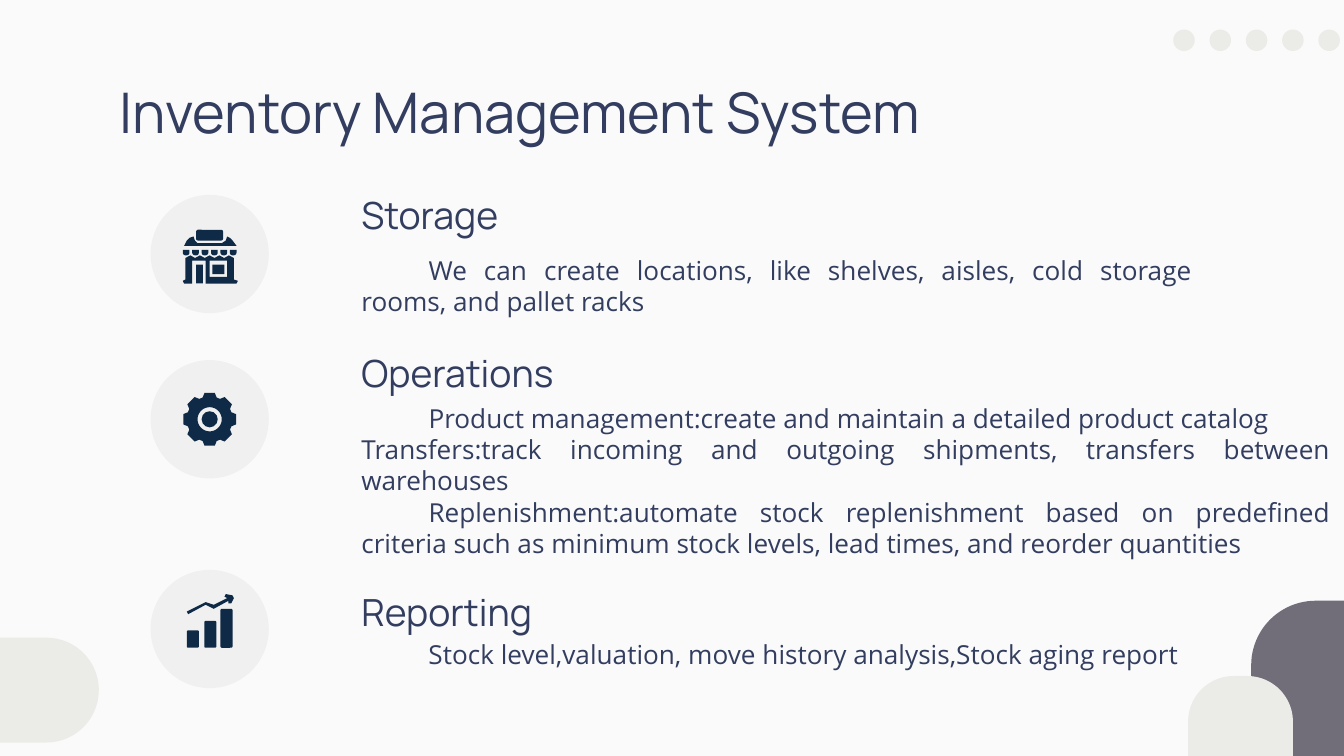
"""Build the inventory management system slide."""
from math import cos, radians, sin

from pptx import Presentation
from pptx.dml.color import RGBColor
from pptx.enum.shapes import MSO_SHAPE
from pptx.enum.text import MSO_ANCHOR, PP_ALIGN
from pptx.util import Inches, Pt

OVAL = MSO_SHAPE.OVAL
RECT = MSO_SHAPE.RECTANGLE
ROUNDED = MSO_SHAPE.ROUNDED_RECTANGLE
ROUND_TOP = MSO_SHAPE.ROUND_2_SAME_RECTANGLE
ROUND_DIAGONAL = MSO_SHAPE.ROUND_2_DIAG_RECTANGLE
TOP, BOTTOM = MSO_ANCHOR.TOP, MSO_ANCHOR.BOTTOM
LEFT, JUSTIFY = PP_ALIGN.LEFT, PP_ALIGN.JUSTIFY

COLORS = {"background": "FAFAFA", "text": "323D5F", "icon": "0F2A47",
          "disc": "F0F0F0", "pale": "EBECE7", "mauve": "716D79"}
HEAD_FONT, BODY_FONT = "Manrope", "Open Sans"


def ring(cx, cy, polar):
    """Turn (degrees, radius) pairs into points around a centre."""
    return [(cx + r * cos(radians(a)), cy + r * sin(radians(a))) for a, r in polar]


class SlideBuilder:
    """Hold the style and the current slide."""

    def __init__(self, slide):
        self.slide = slide
        fill = slide.background.fill
        fill.solid()
        fill.fore_color.rgb = RGBColor.from_string(COLORS["background"])

    def paint(self, sp, color):
        """Give a shape a flat fill without line or shadow."""
        sp.shadow.inherit = False
        sp.fill.solid()
        sp.fill.fore_color.rgb = RGBColor.from_string(COLORS[color])
        sp.line.fill.background()

    def shape(self, kind, box, color="icon", adj=(), rotation=0):
        """Add a preset shape."""
        sp = self.slide.shapes.add_shape(kind, *map(Inches, box))
        for i, value in enumerate(adj):
            sp.adjustments[i] = value
        sp.rotation = rotation
        self.paint(sp, color)

    def outline(self, *contours):
        """Add a filled outline made of closed contours."""
        first, *rest = [[(Inches(x), Inches(y)) for x, y in c] for c in contours]
        builder = self.slide.shapes.build_freeform(*first[0], scale=1.0)
        builder.add_line_segments(first[1:], close=True)
        for contour in rest:
            builder.move_to(*contour[0])
            builder.add_line_segments(contour[1:], close=True)
        self.paint(builder.convert_to_shape(), "icon")

    def text(self, box, paragraphs, font, size, anchor=TOP, align=LEFT):
        """Add a text box from (text, first-line indent) pairs."""
        tf = self.slide.shapes.add_textbox(*map(Inches, box)).text_frame
        tf.word_wrap = True
        tf.vertical_anchor = anchor
        tf.margin_left = tf.margin_right = Inches(0.1)
        tf.margin_top = tf.margin_bottom = Inches(0.1)
        for i, (text, indent) in enumerate(paragraphs):
            p = tf.add_paragraph() if i else tf.paragraphs[0]
            p.text = text
            p.alignment = align
            p.line_spacing = Pt(1.2 * size)
            p._p.get_or_add_pPr().set("indent", str(Inches(indent)))
            r = p.runs[0]
            r.font.name, r.font.size = font, Pt(size)
            r.font.color.rgb = RGBColor.from_string(COLORS["text"])

    def decorations(self):
        """Add the corner dots and rounded blocks."""
        for i in range(5):
            self.shape(OVAL, (8.73 + 0.27 * i, 0.22, 0.16, 0.16), "pale")
        self.shape(ROUND_DIAGONAL, (9.31, 4.47, 0.96, 2), "mauve", (0.5, 0))
        self.shape(ROUND_TOP, (8.84, 5.03, 0.78, 0.68), "pale", (0.5, 0))
        self.shape(ROUND_TOP, (-0.43, 4.36, 0.78, 1.55), "pale", (0.5, 0), 90)

    def store_icon(self):
        """Add the shop front."""
        self.shape(ROUNDED, (1.46, 1.71, 0.2, 0.08))
        self.outline([(1.37, 1.83), (1.39, 1.79), (1.41, 1.77), (1.44, 1.76),
                      (1.45, 1.79), (1.47, 1.81), (1.65, 1.81), (1.68, 1.79),
                      (1.69, 1.76), (1.71, 1.77), (1.73, 1.79), (1.76, 1.83)])
        for i in range(6):
            self.shape(ROUND_TOP, (1.36 + 0.07 * i, 1.86, 0.05, 0.04),
                       adj=(0.5, 0), rotation=180)
        scallops = [(1.38 + 0.036 * i, 1.92 - 0.02 * (i % 2)) for i in range(11)]
        self.outline(
            scallops + [(1.74, 2.08), (1.77, 2.09), (1.76, 2.11), (1.53, 2.11),
                        (1.53, 1.94), (1.43, 1.94), (1.43, 2.11), (1.37, 2.11),
                        (1.36, 2.09), (1.38, 2.08)],
            [(1.56, 1.94), (1.56, 2.06), (1.69, 2.06), (1.69, 1.94)])
        self.shape(RECT, (1.46, 1.97, 0.05, 0.14))
        self.shape(RECT, (1.58, 1.97, 0.09, 0.07))

    def gear_icon(self):
        """Add the eight-toothed gear."""
        cx, cy = 1.56, 3.12
        tooth = [(-18, 0.17), (-11, 0.2), (11, 0.2), (18, 0.17)]
        teeth = [(45 * i + a, r) for i in range(8) for a, r in tooth]
        hole = [(-10 * i, 0.09) for i in range(36)]
        self.outline(ring(cx, cy, teeth), ring(cx, cy, hole))
        self.shape(OVAL, (cx - 0.06, cy - 0.06, 0.12, 0.12))

    def chart_icon(self):
        """Add the rising bars and arrow."""
        for left, top in ((1.39, 4.69), (1.52, 4.62), (1.64, 4.53)):
            self.shape(ROUNDED, (left, top, 0.09, 4.82 - top), adj=(0.12,))
        self.outline([(1.39, 4.55), (1.53, 4.48), (1.59, 4.5), (1.69, 4.45),
                      (1.67, 4.44), (1.68, 4.42), (1.73, 4.43), (1.74, 4.45),
                      (1.72, 4.49), (1.7, 4.49), (1.7, 4.47), (1.59, 4.53),
                      (1.53, 4.5), (1.4, 4.57)])


def main():
    """Compose and save the slide."""
    prs = Presentation()
    prs.slide_width = Inches(10)
    prs.slide_height = prs.slide_width * 9 // 16
    s = SlideBuilder(prs.slides.add_slide(prs.slide_layouts[6]))
    s.decorations()
    s.text((0.79, 0.48, 8.43, 0.63), [("Inventory Management System", 0)], HEAD_FONT, 30)

    sections = [
        ("Storage", 1.28, 1.45, (2.59, 1.79, 6.38, 0.58), JUSTIFY, s.store_icon,
         [("We can create locations, like shelves, aisles, cold storage rooms, "
           "and pallet racks", 0.5)]),
        ("Operations", 2.46, 2.68, (2.59, 2.89, 7.41, 1.29), JUSTIFY, s.gear_icon,
         [("Product management:create and maintain a detailed product catalog", 0.5),
          ("Transfers:track incoming and outgoing shipments, transfers between "
           "warehouses", 0),
          ("Replenishment:automate stock replenishment based on predefined criteria "
           "such as minimum stock levels, lead times, and reorder quantities", 0.5)]),
        ("Reporting", 4.24, 4.24, (2.59, 4.65, 6.37, 0.58), LEFT, s.chart_icon,
         [("Stock level,valuation, move history analysis,Stock aging report", 0.5)]),
    ]
    for heading, head_top, disc_top, box, align, icon, body in sections:
        s.shape(OVAL, (1.12, disc_top, 0.88, 0.88), "disc")
        icon()
        s.text(box, body, BODY_FONT, 14, align=align)
        s.text((2.59, head_top, 6.38, 0.58), [(heading, 0)], HEAD_FONT, 20, BOTTOM)
    prs.save("out.pptx")


if __name__ == "__main__":
    main()
